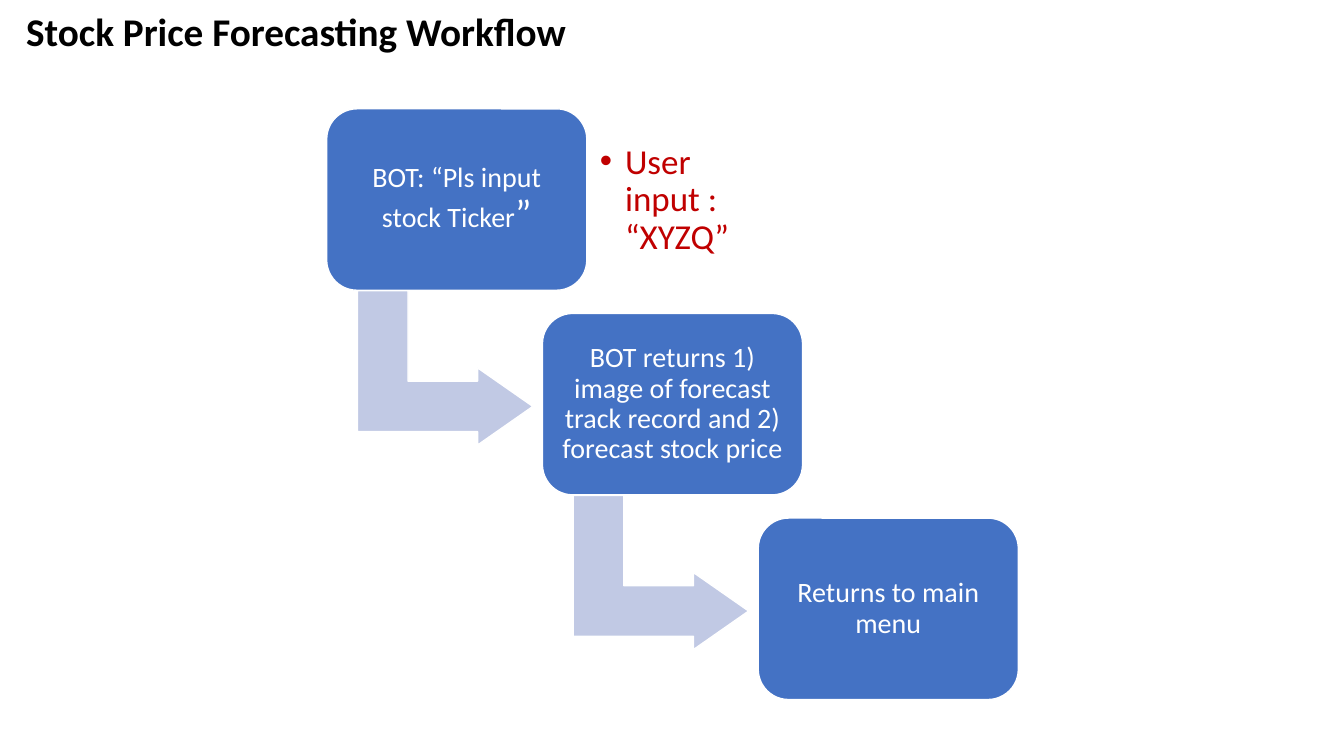
from lxml import etree
from pptx import Presentation
from pptx import util as u
from pptx.dml.color import RGBColor
from pptx.enum import shapes, text
from pptx.oxml.ns import qn

BLUE, PALE, RED, WHITE, BLACK = "4472C4", "C1C9E4", "C00000", "FFFFFF", "000000"
STEP_W, STEP_H = 2.58, 1.8
STEP_DX, STEP_DY = 2.14, 2.03
STEPS = [
    [("BOT: “Pls input stock Ticker", 20), ("”", 28)],
    [("BOT returns 1) image of forecast track record and 2) forecast stock price", 20)],
    [("Returns to main menu", 20)],
]


def rgb(value):
    """Turn a hex string into a colour."""
    return RGBColor.from_string(value)


def inches(box):
    """Turn a box of numbers into lengths."""
    return [u.Inches(v) for v in box]


def write(sp, runs, color, align, anchor, inset=(0.1, 0.05), bold=False):
    """Fill one paragraph of a shape with runs of text and size."""
    tf = sp.text_frame
    x, y = inches(inset)
    frame = dict(word_wrap=True, vertical_anchor=anchor, margin_left=x,
                 margin_right=x, margin_top=y, margin_bottom=y)
    for name, value in frame.items():
        setattr(tf, name, value)
    p = tf.paragraphs[0]
    p.alignment, p.line_spacing = align, 0.9
    for words, size in runs:
        r = p.add_run()
        r.text = words
        for name, value in dict(name="Calibri", size=u.Pt(size), bold=bold).items():
            setattr(r.font, name, value)
        r.font.color.rgb = rgb(color)
    return p


def add_block(s, kind, box, fill, adjustments):
    """Add a filled shape with a thin white outline."""
    sp = s.shapes.add_shape(kind, *inches(box))
    sp.shadow.inherit = False
    sp.fill.solid()
    sp.fill.fore_color.rgb = rgb(fill)
    sp.line.color.rgb = rgb(WHITE)
    sp.line.width = u.Pt(1)
    for i, value in enumerate(adjustments):
        sp.adjustments[i] = value
    return sp


def add_title(s, box):
    """Add the slide title."""
    sp = s.shapes.add_textbox(*inches(box))
    write(sp, [("Stock Price Forecasting Workflow", 28)], BLACK,
          text.PP_ALIGN.CENTER, text.MSO_ANCHOR.BOTTOM, bold=True)


def add_user_input(s, box):
    """Add the bulleted user reply beside a step."""
    sp = s.shapes.add_textbox(*inches(box))
    p = write(sp, [("User input : “XYZQ”", 25)], RED, text.PP_ALIGN.LEFT,
              text.MSO_ANCHOR.MIDDLE, inset=(0.13, 0.13))
    pPr = p._p.get_or_add_pPr()
    indent = u.Inches(0.25)
    pPr.set("marL", str(indent))
    pPr.set("indent", str(-indent))
    etree.SubElement(pPr, qn("a:buFont")).set("typeface", "Arial")
    etree.SubElement(pPr, qn("a:buChar")).set("char", "•")


def add_workflow(s, left, top):
    """Add the descending steps, their arrows and the user reply."""
    for i, runs in enumerate(STEPS):
        x, y = left + i * STEP_DX, top + i * STEP_DY
        if i < len(STEPS) - 1:
            arrow = add_block(s, shapes.MSO_SHAPE.BENT_UP_ARROW,
                              (x + 0.41, y + 1.7, 1.53, 1.74), PALE, (0.328, 0.25, 0.358))
            arrow.rotation = 90
        step = add_block(s, shapes.MSO_SHAPE.ROUNDED_RECTANGLE,
                         (x, y, STEP_W, STEP_H), BLUE, (0.167,))
        write(step, runs, WHITE, text.PP_ALIGN.CENTER,
              text.MSO_ANCHOR.MIDDLE, inset=(0.08, 0.08))
    add_user_input(s, (left + STEP_W, top + 0.18, 1.87, 1.46))


prs = Presentation()
prs.slide_width, prs.slide_height = inches((13.33, 7.5))
s = prs.slides.add_slide(prs.slide_layouts[6])
add_title(s, (0, 0, 5.87, 0.59))
add_workflow(s, 3.24, 1.08)
prs.save("out.pptx")
